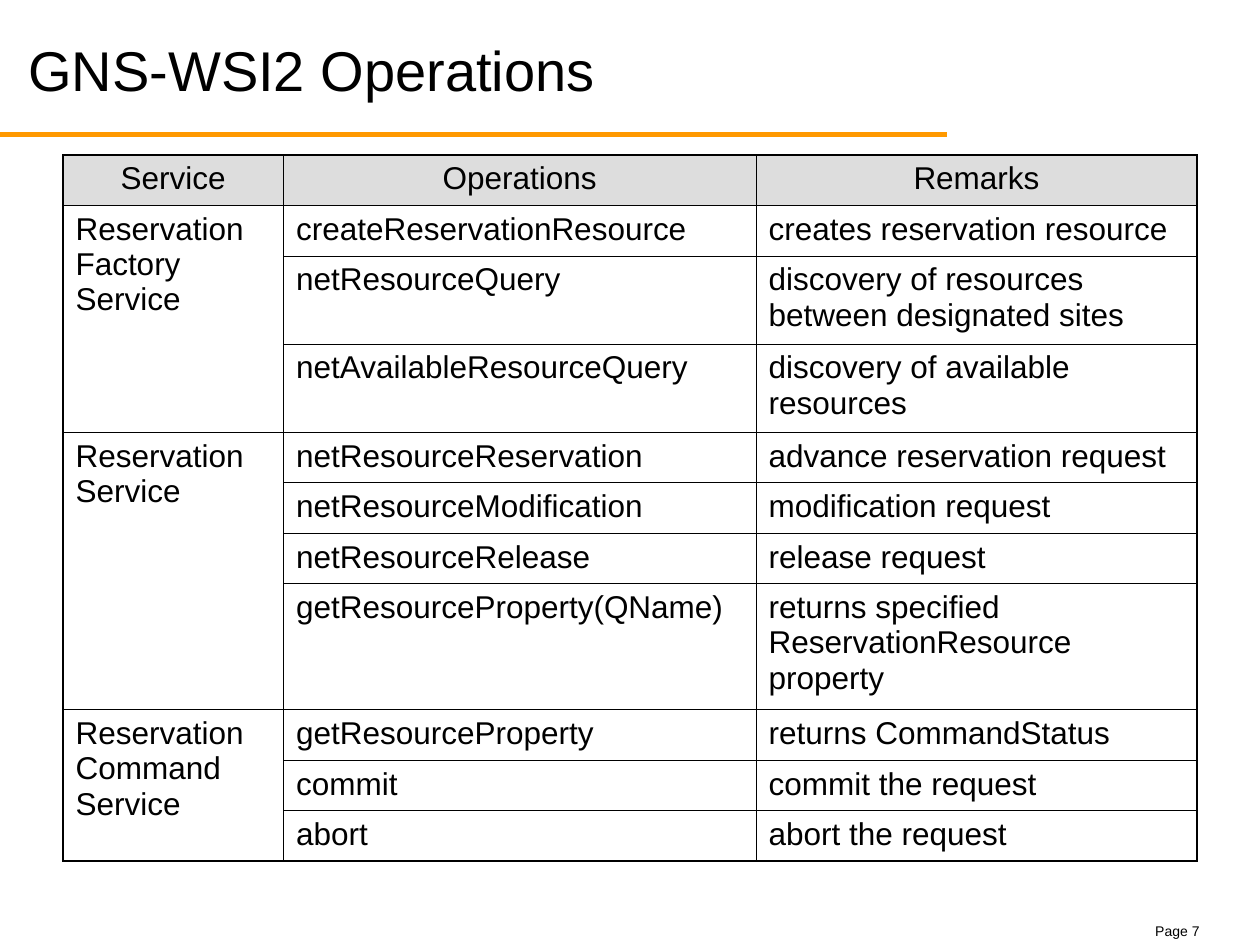
from lxml.etree import SubElement
from pptx import Presentation
from pptx.dml.color import RGBColor
from pptx.enum.shapes import MSO_CONNECTOR
from pptx.enum.text import MSO_ANCHOR, MSO_AUTO_SIZE, PP_ALIGN
from pptx.oxml.ns import qn
from pptx.util import Inches, Pt

HUES = {"ink": "000000", "rule": "FF9900", "head": "DDDDDD"}
THICK, THIN = Pt(1.08), Pt(0.45)


def write(frame, text, size, align=PP_ALIGN.LEFT):
    """Fill the first paragraph, with a line break at each newline."""
    para = frame.paragraphs[0]
    para.alignment = align
    for i, line in enumerate(text.split("\n")):
        if i:
            para.add_line_break()
        run = para.add_run()
        run.text = line
        run.font.name = "Arial"
        run.font.size = Pt(size)
        run.font.color.rgb = RGBColor.from_string(HUES["ink"])


def edge(cell, side, width):
    """Draw one border of a cell; side is L, R, T or B."""
    props = cell._tc.get_or_add_tcPr()
    line = SubElement(props, qn("a:ln" + side), w=str(width))
    fill = SubElement(line, qn("a:solidFill"))
    SubElement(fill, qn("a:srgbClr"), val=HUES["ink"])


deck = Presentation()
deck.slide_width, deck.slide_height = Inches(10), Inches(7.5)
wide, high = deck.slide_width, deck.slide_height
col, row = wide // 40, high // 75
slide = deck.slides.add_slide(deck.slide_layouts[6])

# Page number
page = slide.shapes.add_textbox(
    int(wide * 0.907), int(high * 0.97), 4 * col, int(2.4 * row)).text_frame
page.word_wrap = False
page.auto_size = MSO_AUTO_SIZE.SHAPE_TO_FIT_TEXT
write(page, "Page 7", 8)

# Title and the rule below it
rule = slide.shapes.add_connector(
    MSO_CONNECTOR.STRAIGHT, 0, int(10.7 * row), int(wide * 0.752), int(10.7 * row))
rule.line.color.rgb = RGBColor.from_string(HUES["rule"])
rule.line.width = Pt(3)
SubElement(rule._element.spPr, qn("a:effectLst"))

title = slide.shapes.add_textbox(
    int(col / 2), int(2.6 * row), 39 * col, int(5.8 * row)).text_frame
title.word_wrap = True
title.vertical_anchor = MSO_ANCHOR.MIDDLE
write(title, "GNS-WSI2 Operations", 32)

# Each service has operations: name, remark, lines of text in the remark
groups = [
    ("Reservation\nFactory\nService", [
        ("createReservationResource", "creates reservation resource", 1),
        ("netResourceQuery", "discovery of resources between designated sites", 2),
        ("netAvailableResourceQuery", "discovery of available resources", 2)]),
    ("Reservation\nService", [
        ("netResourceReservation", "advance reservation request", 1),
        ("netResourceModification", "modification request", 1),
        ("netResourceRelease", "release request", 1),
        ("getResourceProperty(QName)", "returns specified ReservationResource property", 3)]),
    ("Reservation\nCommand\nService", [
        ("getResourceProperty", "returns CommandStatus", 1),
        ("commit", "commit the request", 1),
        ("abort", "abort the request", 1)]),
]
heads = ["Service", "Operations", "Remarks"]
spans = [7, 15, 14]
lines = [1] + [op[2] for _, ops in groups for op in ops]
highs = [(3 * n + 1) * row for n in lines]
count = len(lines)

frame = slide.shapes.add_table(
    count, 3, 2 * col, int(12.3 * row), sum(spans) * col, sum(highs))
table = frame.table
table.first_row = table.horz_banding = False
for c, span in enumerate(spans):
    table.columns[c].width = span * col
for r, tall in enumerate(highs):
    table.rows[r].height = tall

for c, text in enumerate(heads):
    write(table.cell(0, c).text_frame, text, 18, PP_ALIGN.CENTER)
top = 1
for service, ops in groups:
    first = table.cell(top, 0)
    first.merge(table.cell(top + len(ops) - 1, 0))
    write(first.text_frame, service, 18)
    for r, (name, note, _) in enumerate(ops, top):
        write(table.cell(r, 1).text_frame, name, 18)
        write(table.cell(r, 2).text_frame, note, 18)
    top += len(ops)

for r in range(count):
    for c in range(3):
        cell = table.cell(r, c)
        deep = cell.span_height if cell.is_merge_origin else 1
        outer = {"L": c == 0, "R": c == 2, "T": r == 0, "B": r + deep == count}
        for side, thick in outer.items():
            edge(cell, side, THICK if thick else THIN)
        if r:
            cell.fill.background()
        else:
            cell.fill.solid()
            cell.fill.fore_color.rgb = RGBColor.from_string(HUES["head"])

deck.save("out.pptx")
